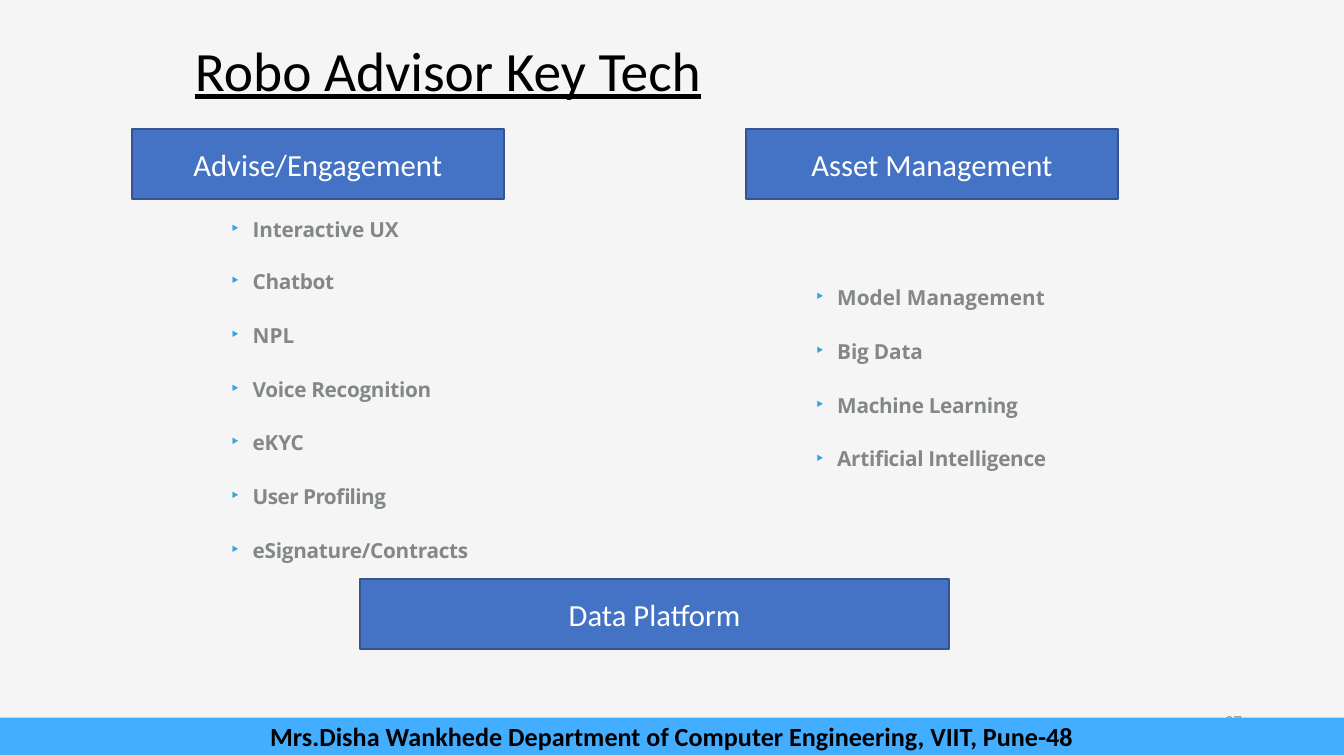
from dataclasses import dataclass
from typing import Any

from lxml import etree
from pptx import Presentation
from pptx.dml.color import RGBColor
from pptx.enum import shapes, text
from pptx.oxml import ns
from pptx.util import Inches, Pt


def colour(hex_code):
    return RGBColor.from_string(hex_code)


@dataclass
class Deck:
    """Holds the style and the current slide and draws each kind of element."""

    slide: Any
    face: str = "Calibri"
    list_face: str = "Open Sans"
    list_grey: str = "838787"
    bullet_blue: str = "34A5DA"
    box_blue: str = "4472C4"
    box_edge: str = "325491"

    def background(self, fill):
        self.slide.background.fill.solid()
        self.slide.background.fill.fore_color.rgb = colour(fill)

    def font(self, paragraph, size, ink, face, bold=False, underline=False):
        font = paragraph.font
        font.size, font.name = Pt(size), face
        font.bold, font.underline = bold, underline
        font.color.rgb = colour(ink)

    def bar(self, label, left, top, width, height, fill, edge=None,
            ink="FFFFFF", size=16.4, bold=False):
        bar = self.slide.shapes.add_shape(
            shapes.MSO_SHAPE.RECTANGLE,
            Inches(left), Inches(top), Inches(width), Inches(height))
        bar.shadow.inherit = False
        bar.fill.solid()
        bar.fill.fore_color.rgb = colour(fill)
        if edge:
            bar.line.color.rgb = colour(edge)
            bar.line.width = Pt(1)
        else:
            bar.line.fill.background()
        frame = bar.text_frame
        frame.vertical_anchor = text.MSO_ANCHOR.MIDDLE
        paragraph = frame.paragraphs[0]
        paragraph.text = label
        paragraph.alignment = text.PP_ALIGN.CENTER
        self.font(paragraph, size, ink, self.face, bold)

    def heading_box(self, label, left, top, width):
        self.bar(label, left, top, width, 0.52, self.box_blue, self.box_edge)

    def frame(self, left, top, width, height, insets):
        frame = self.slide.shapes.add_textbox(
            Inches(left), Inches(top), Inches(width), Inches(height)).text_frame
        frame.word_wrap = True
        frame.margin_left, frame.margin_top, frame.margin_right, frame.margin_bottom = map(
            Inches, insets)
        return frame

    def line(self, words, left, top, width, height, size, ink,
             align=text.PP_ALIGN.LEFT, spacing=1.0, underline=False):
        frame = self.frame(left, top, width, height, (0.07, 0.04, 0.07, 0.04))
        frame.vertical_anchor = text.MSO_ANCHOR.MIDDLE
        paragraph = frame.paragraphs[0]
        paragraph.text = words
        paragraph.alignment = align
        paragraph.line_spacing = spacing
        self.font(paragraph, size, ink, self.face, underline=underline)

    def bullet(self, paragraph):
        props = paragraph._p.get_or_add_pPr()
        props.set("marL", str(Inches(0.17)))
        props.set("indent", str(Inches(-0.16)))
        tint = etree.SubElement(props, ns.qn("a:buClr"))
        etree.SubElement(tint, ns.qn("a:srgbClr"), val=self.bullet_blue)
        etree.SubElement(props, ns.qn("a:buSzPct"), val="106000")
        etree.SubElement(props, ns.qn("a:buFont"), typeface=self.face)
        etree.SubElement(props, ns.qn("a:buChar"), char="‣")

    def bullets(self, items, left, top, width, height):
        frame = self.frame(left, top, width, height, (0, 0.01, 0, 0))
        for index, (item, tracking) in enumerate(items):
            paragraph = frame.add_paragraph() if index else frame.paragraphs[0]
            if index:
                paragraph.space_before = Pt(15.5)
            self.bullet(paragraph)
            run = paragraph.add_run()
            run.text = item
            run._r.get_or_add_rPr().set("spc", str(tracking))
            self.font(paragraph, 11.1, self.list_grey, self.list_face, bold=True)


def main():
    presentation = Presentation()
    presentation.slide_width = Inches(10)
    presentation.slide_height = Inches(10) * 9 // 16
    deck = Deck(presentation.slides.add_slide(presentation.slide_layouts[6]))
    deck.background("F5F5F5")

    deck.bullets([("Interactive UX", -10)], 1.71, 1.6, 1.3, 0.2)
    engagement = [("Chatbot", -20), ("NPL", 0), ("Voice Recognition", -20),
                  ("eKYC", -10), ("User Profiling", -30), ("eSignature/Contracts", -16)]
    deck.bullets(engagement, 1.71, 1.99, 1.78, 2.2)
    management = [("Model Management", 0), ("Big Data", -10),
                  ("Machine Learning", -20), ("Artificial Intelligence", -20)]
    deck.bullets(management, 6.06, 2.11, 1.76, 1.4)

    deck.line("Robo Advisor Key Tech", 1.38, 0.28, 8.62, 0.53, 29.7, "000000",
              spacing=0.9, underline=True)
    deck.heading_box("Advise/Engagement", 0.98, 0.96, 2.77)
    deck.heading_box("Asset Management", 5.55, 0.96, 2.77)
    deck.heading_box("Data Platform", 2.68, 4.31, 4.38)
    deck.line("37", 7.06, 5.21, 2.25, 0.3, 9, "8C8C8C", text.PP_ALIGN.RIGHT)
    deck.bar("Mrs.Disha Wankhede Department of Computer Engineering, VIIT, Pune-48",
             0, 5.34, 10, 0.28, "43AEFF", ink="000000", size=14, bold=True)

    presentation.save("out.pptx")


if __name__ == "__main__":
    main()
